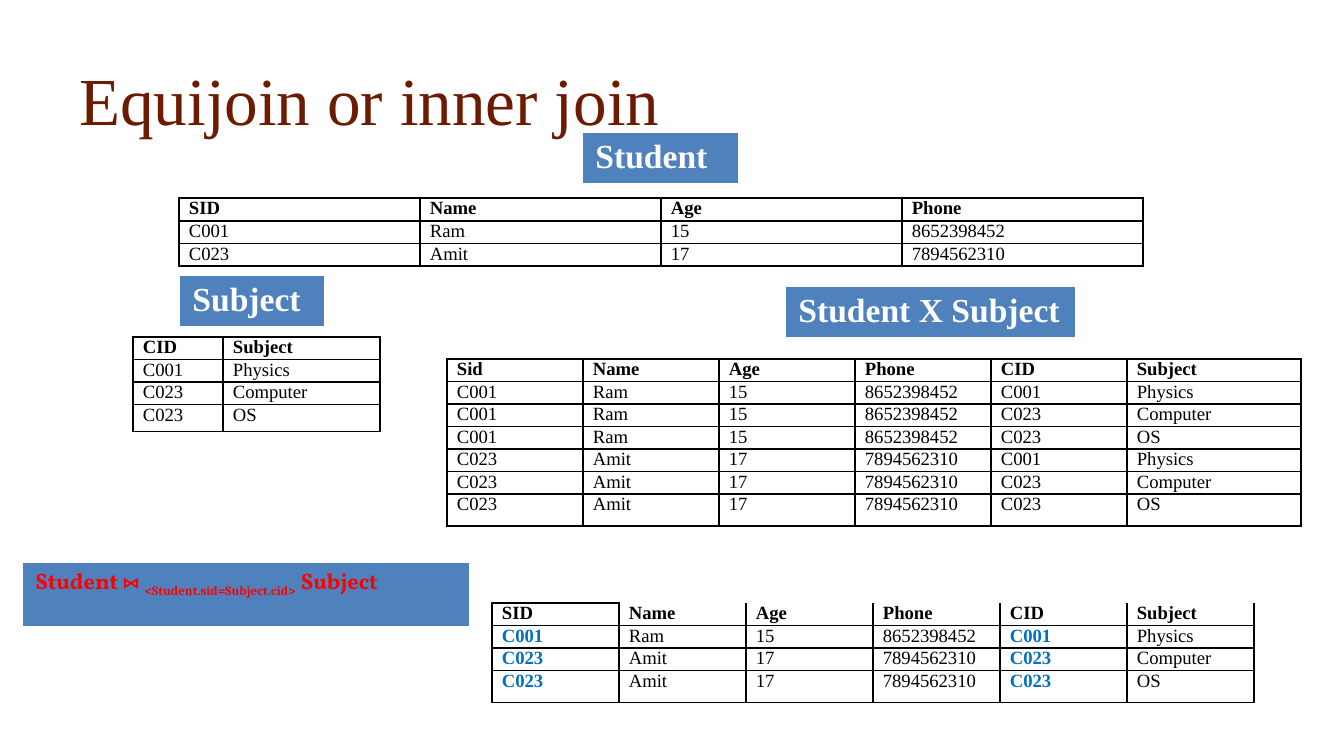
"""Builds a slide that explains the equijoin of a Student and a Subject table."""
from pptx import Presentation
from pptx.dml.color import RGBColor
from pptx.enum.text import MSO_ANCHOR
from pptx.oxml.ns import qn
from pptx.util import Pt
from lxml.etree import SubElement

SCALE = 914400 / 134.4
SERIF = "Times New Roman"
BLACK, WHITE, BLUE, KEY_BLUE, RED, BROWN = (
    "000000", "FFFFFF", "4F81BD", "0070C0", "FF0000", "6C1A00")


def style(font, size, color, bold=False, name=SERIF):
    font.size, font.bold, font.name = Pt(size), bold, name
    font.color.rgb = RGBColor.from_string(color)


def add_grid(left, top, widths, heights, fill, line, bottom=1, open_top=()):
    lengths = [round(value * SCALE) for value in (left, top, sum(widths), sum(heights))]
    grid = page.shapes.add_table(len(heights), len(widths), *lengths).table
    grid.first_row = grid.horz_banding = False
    for column, width in zip(grid.columns, widths):
        column.width = round(width * SCALE)
    for r, height in enumerate(heights):
        grid.rows[r].height = round(height * SCALE)
        for c in range(len(widths)):
            cell = grid.cell(r, c)
            props = cell._tc.get_or_add_tcPr()
            for side in "LRTB":
                weight = bottom if side == "B" else 1
                edge = SubElement(props, qn(f"a:ln{side}"), w=str(Pt(weight)))
                if side == "T" and r == 0 and c in open_top:
                    SubElement(edge, qn("a:noFill"))
                else:
                    paint = SubElement(edge, qn("a:solidFill"))
                    SubElement(paint, qn("a:srgbClr"), val=line)
            cell.fill.solid()
            cell.fill.fore_color.rgb = RGBColor.from_string(fill)
    return grid


deck = Presentation()
deck.slide_width, deck.slide_height = round(1344 * SCALE), round(756 * SCALE)
page = deck.slides.add_slide(deck.slide_layouts[6])

title = page.shapes.add_textbox(*[round(value * SCALE) for value in (66, 42, 1212, 113)])
title.text_frame.word_wrap = True
title.text_frame.vertical_anchor = MSO_ANCHOR.MIDDLE
title.text_frame.text = "Equijoin or inner join"
style(title.text_frame.paragraphs[0].font, 36, BROWN)

students = [("C001", "Ram", "15", "8652398452"), ("C023", "Amit", "17", "7894562310")]
subjects = [("C001", "Physics"), ("C023", "Computer"), ("C023", "OS")]
product = [student + subject for student in students for subject in subjects]
joined = [row for row in product if row[0] == row[4]]
student_head = ("SID", "Name", "Age", "Phone")
subject_head = ("CID", "Subject")

tables = [
    (179, 198, [241] * 4, [23, 20, 20], [student_head] + students, (), ()),
    (133, 337, [90, 157], [20, 20, 20, 27], [subject_head] + subjects, (), ()),
    (447, 359, [136] * 5 + [174], [20] * 6 + [32],
     [("Sid",) + student_head[1:] + subject_head] + product, (), ()),
    (492, 603, [127] * 6, [20, 20, 20, 32],
     [student_head + subject_head] + joined, (0, 4), range(1, 6)),
]
for left, top, widths, heights, rows, key_columns, open_top in tables:
    grid = add_grid(left, top, widths, heights, WHITE, BLACK, open_top=open_top)
    for r, row in enumerate(rows):
        for c, value in enumerate(row):
            cell = grid.cell(r, c)
            cell.margin_left = cell.margin_right = round(10 * SCALE)
            cell.margin_top = cell.margin_bottom = 0
            cell.text = value
            is_key = r > 0 and c in key_columns
            style(cell.text_frame.paragraphs[0].font, 10,
                  KEY_BLUE if is_key else BLACK, r == 0 or is_key)

labels = [("Student", 582, 132, 157), ("Subject", 179, 275, 146),
          ("Student X Subject", 785, 286, 291)]
for text, left, top, width in labels:
    cell = add_grid(left, top, [width], [50], BLUE, WHITE, bottom=3).cell(0, 0)
    cell.text = text
    style(cell.text_frame.paragraphs[0].font, 18, WHITE, True)

cell = add_grid(22, 562, [448], [67], BLUE, WHITE, bottom=3).cell(0, 0)
para = cell.text_frame.paragraphs[0]
for text, name, baseline in [
        ("Student\u00a0", "Vollkorn", 0), ("\u22c8\u00a0", "Cambria", 0),
        ("<Student.sid=Subject.cid>", "Cambria", -25000), ("\u00a0Subject", "Vollkorn", 0)]:
    span = para.add_run()
    span.text = text
    style(span.font, 12, RED, True, name)
    if baseline:
        span._r.get_or_add_rPr().set("baseline", str(baseline))

deck.save("out.pptx")
